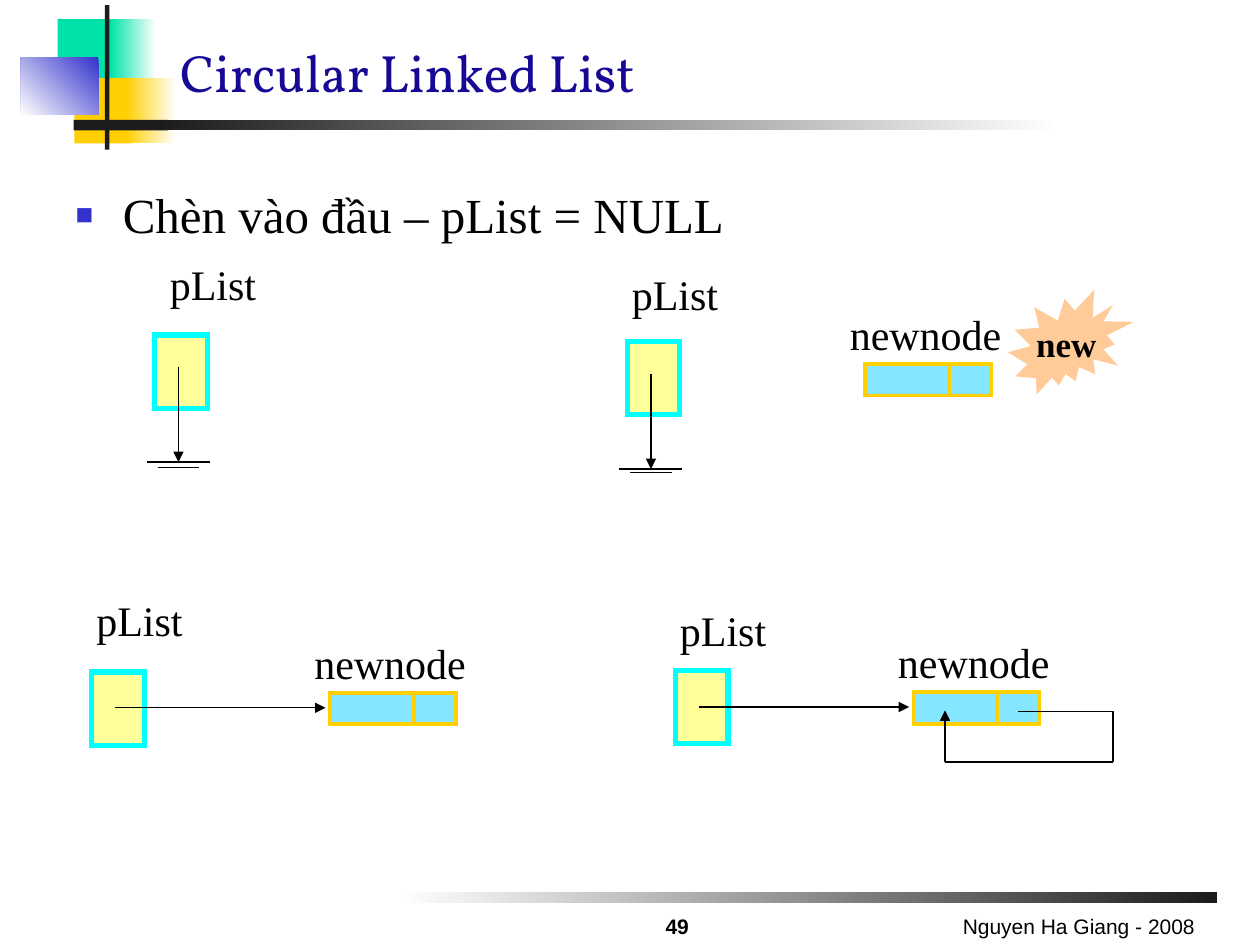
from itertools import pairwise

from lxml.etree import SubElement
from pptx import Presentation
from pptx.dml.color import RGBColor
from pptx.enum.shapes import MSO_CONNECTOR as CONNECTOR, MSO_SHAPE as SHAPE
from pptx.enum.text import MSO_ANCHOR as ANCHOR, MSO_AUTO_SIZE as FIT, PP_ALIGN as ALIGN
from pptx.oxml.ns import qn
from pptx.util import Pt

BLACK = RGBColor(0x00, 0x00, 0x00)
WHITE = RGBColor(0xFF, 0xFF, 0xFF)
CHARCOAL = RGBColor(0x1C, 0x1C, 0x1C)
GREEN = RGBColor(0x00, 0xE3, 0xA8)
GOLD = RGBColor(0xFF, 0xCF, 0x01)
BLUE = RGBColor(0x33, 0x33, 0xCC)
NAVY = RGBColor(0x17, 0x09, 0x95)
PALE_YELLOW = RGBColor(0xFF, 0xFF, 0x99)
CYAN = RGBColor(0x00, 0xFF, 0xFF)
SKY = RGBColor(0x00, 0xCC, 0xFF)
PEACH = RGBColor(0xFF, 0xCC, 0x99)

SERIF = "Times New Roman"
NODE_PARTS = ((0, 48), (48, 24))


def place(item, left, top, width, height):
    item.left, item.top = Pt(left), Pt(top)
    item.width, item.height = Pt(width), Pt(height)


def write(frame, text, size, face=SERIF, color=BLACK, bold=False, align=ALIGN.LEFT):
    paragraph = frame.paragraphs[0]
    paragraph.alignment = align
    paragraph.space_before = Pt(0)
    run = paragraph.add_run()
    run.text = text
    run.font.name = face
    run.font.size = Pt(size)
    run.font.bold = bold
    run.font.color.rgb = color


def add_block(slide, left, top, width, height, color, outline=None, weight=0, kind=SHAPE.RECTANGLE):
    block = slide.shapes.add_shape(kind, Pt(left), Pt(top), Pt(width), Pt(height))
    block.shadow.inherit = False
    block.fill.solid()
    block.fill.fore_color.rgb = color
    if outline is None:
        block.line.fill.background()
    else:
        block.line.color.rgb = outline
        block.line.width = Pt(weight)
        SubElement(block.line._get_or_add_ln(), qn("a:miter"), lim="800000")
    return block


def add_fade(slide, left, top, width, height, start, end, angle=180):
    fade = add_block(slide, left, top, width, height, start)
    fade.fill.gradient()
    fade.fill.gradient_angle = angle
    for stop, color in zip(fade.fill.gradient_stops, (start, end)):
        stop.color.rgb = color


def add_label(slide, text, left, top, width):
    label = slide.shapes.add_textbox(Pt(left), Pt(top), Pt(width), Pt(36))
    label.text_frame.word_wrap = False
    label.text_frame.auto_size = FIT.SHAPE_TO_FIT_TEXT
    write(label.text_frame, text, 24)


def add_footer(slide, text, left, top, width, height, align, bold=False):
    footer = slide.shapes.add_textbox(Pt(left), Pt(top), Pt(width), Pt(height))
    footer.text_frame.word_wrap = True
    footer.text_frame.vertical_anchor = ANCHOR.BOTTOM
    write(footer.text_frame, text, 12, "Arial", bold=bold, align=align)


def add_line(slide, start, end, arrow=False):
    line = slide.shapes.add_connector(CONNECTOR.STRAIGHT, *map(Pt, start + end))
    line.line.color.rgb = BLACK
    line.line.width = Pt(0.75)
    if arrow:
        SubElement(line.line._get_or_add_ln(), qn("a:tailEnd"), type="triangle")
    SubElement(line._element.spPr, qn("a:effectLst"))


def add_pointer(slide, left, top, label_left, label_top):
    add_block(slide, left, top, 30, 42, PALE_YELLOW, CYAN, 3)
    add_label(slide, "pList", label_left, label_top, 64)


def add_null_link(slide, x, top, gap):
    ground = top + 54
    add_line(slide, (x, top), (x, ground), arrow=True)
    add_line(slide, (x - 18, ground), (x + 18, ground))
    add_line(slide, (x - 12, ground + gap), (x + 12, ground + gap))


def add_node(slide, left, top):
    for offset, width in NODE_PARTS:
        part = add_block(slide, left + offset, top, width, 18, SKY, GOLD, 2.25)
        tint = part._element.spPr.find(qn("a:solidFill"))[0]
        SubElement(tint, qn("a:alpha"), val="48000")
    add_label(slide, "newnode", left - 16, top - 35.25, 101)


def add_loop(slide, corners):
    sides = list(pairwise(corners))
    for side in sides:
        add_line(slide, *side, arrow=side is sides[-1])


def add_decoration(slide):
    add_fade(slide, 228, 510, 467.5, 6, CHARCOAL, WHITE)
    add_block(slide, 33, 11, 34.5, 37.5, GREEN)
    add_fade(slide, 63, 11, 26, 37.5, WHITE, GREEN)
    add_block(slide, 42.5, 44.5, 33, 37.5, GOLD)
    add_fade(slide, 72, 44.5, 28.5, 37.5, WHITE, GOLD)
    add_fade(slide, 12, 32.75, 44.25, 33, BLUE, WHITE, angle=225)
    add_block(slide, 60, 3, 2.5, 82.5, CHARCOAL)
    add_block(slide, 42, 68.5, 54, 6, CHARCOAL)
    add_fade(slide, 90, 68.5, 515.5, 6, WHITE, CHARCOAL)


def fill_title(title):
    place(title, 95.75, 14.5, 612, 48)
    title.text_frame.auto_size = FIT.NONE
    title.text_frame.vertical_anchor = ANCHOR.BOTTOM
    write(title.text_frame, "Circular Linked List", 30, "Vollkorn", NAVY)


def fill_body(body):
    place(body, 36, 102, 669, 402)
    body.text_frame.auto_size = FIT.NONE
    properties = body.text_frame.paragraphs[0]._p.get_or_add_pPr()
    properties.set("marL", str(Pt(27)))
    properties.set("indent", str(Pt(-27)))
    bullet_color = SubElement(properties, qn("a:buClr"))
    SubElement(bullet_color, qn("a:srgbClr"), val=str(BLUE))
    SubElement(properties, qn("a:buSzPct"), val="60000")
    SubElement(properties, qn("a:buFont"), typeface="Arial")
    SubElement(properties, qn("a:buChar"), char="■")
    write(body.text_frame, "Chèn vào đầu – pList = NULL", 28)


def main():
    deck = Presentation()
    deck.slide_width, deck.slide_height = Pt(720), Pt(540)
    slide = deck.slides.add_slide(deck.slide_layouts[1])
    fill_title(slide.shapes.title)
    fill_body(slide.placeholders[1])
    add_decoration(slide)

    add_pointer(slide, 88.5, 191.5, 90, 144)
    add_null_link(slide, 102, 210, 3)

    add_node(slide, 494.5, 208)
    burst = add_block(slide, 576, 165.5, 72, 60, PEACH, kind=SHAPE.EXPLOSION2)
    burst.text_frame.word_wrap = False
    burst.text_frame.vertical_anchor = ANCHOR.MIDDLE
    write(burst.text_frame, "new", 20, bold=True, align=ALIGN.CENTER)
    add_pointer(slide, 358.5, 195, 354, 150)
    add_null_link(slide, 372, 214, 2)

    add_node(slide, 188.5, 396)
    add_pointer(slide, 52.5, 384, 48, 336)
    add_line(slide, (66, 404.5), (186, 404.5), arrow=True)

    add_node(slide, 522, 395.5)
    add_pointer(slide, 386, 383, 381.5, 342)
    add_line(slide, (399.5, 404), (519.5, 404), arrow=True)
    add_loop(slide, [(582, 406.5), (636, 406.5), (636, 435.5), (540, 435.5), (540, 406)])

    add_footer(slide, "Nguyen Ha Giang - 2008", 462, 516, 228, 24, ALIGN.RIGHT)
    add_footer(slide, "49", 354, 520.5, 66, 19.5, ALIGN.CENTER, bold=True)
    deck.save("out.pptx")


if __name__ == "__main__":
    main()
